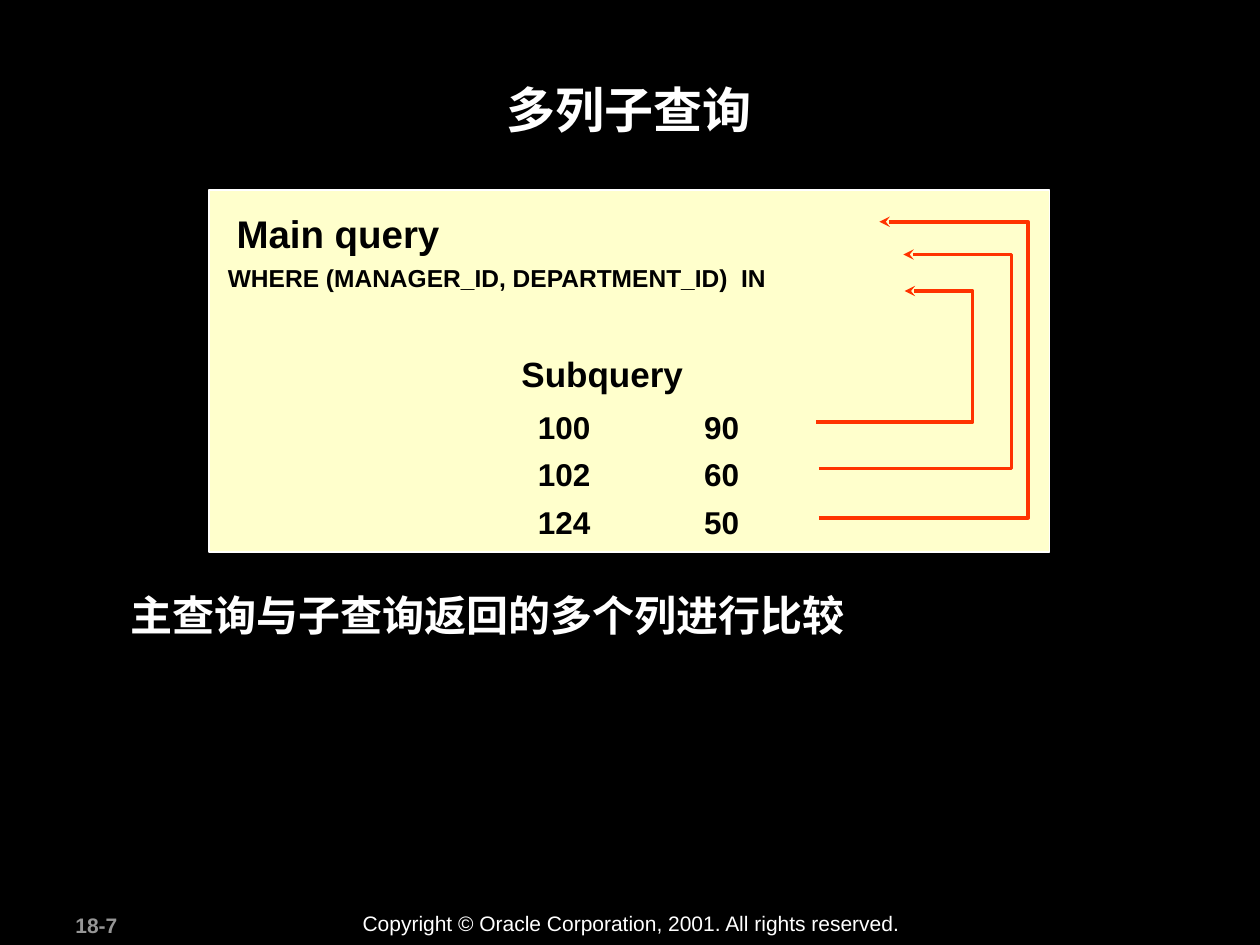
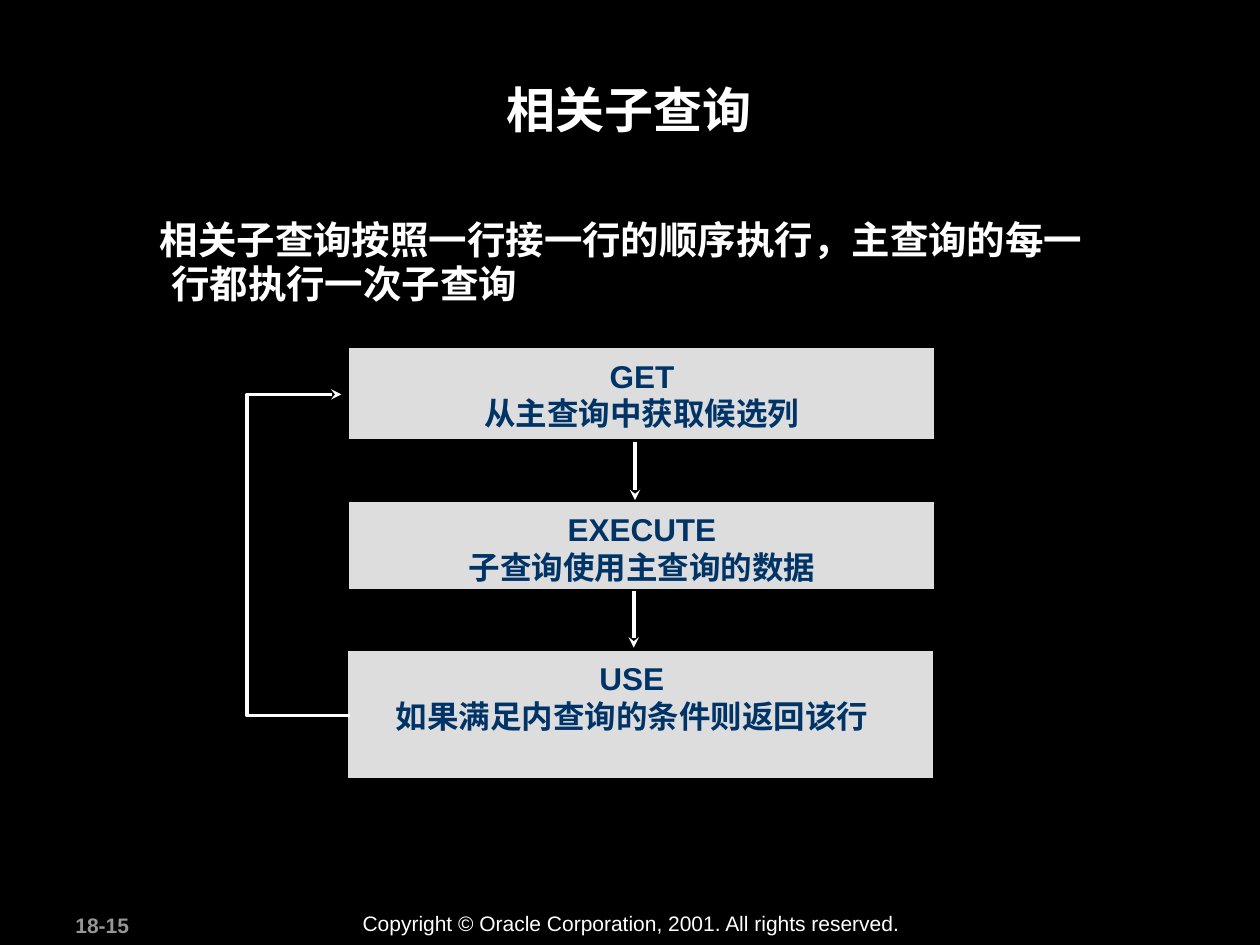
import pptx
import pptx.util
import pptx.dml.color
import pptx.enum.shapes
import pptx.enum.text
import pptx.oxml
import pptx.oxml.ns
from dataclasses import dataclass

Inches = pptx.util.Inches
Pt = pptx.util.Pt
Align = pptx.enum.text.PP_ALIGN
Shape = pptx.enum.shapes.MSO_SHAPE


@dataclass(frozen=True)
class Theme:
    font: str = "Arial"
    # Colours
    black: str = "000000"
    white: str = "FFFFFF"
    cream: str = "FFFFCC"
    gray: str = "DDDDDD"
    dim: str = "969696"
    navy: str = "003366"
    red: str = "FF3300"
    # Type sizes
    title: int = 28
    lead: int = 24
    body: int = 22
    sub: int = 20
    item: int = 18
    code: int = 14
    foot: int = 12
    # Line spacing
    tight: float = 0.95
    loose: float = 1.26


def rgb(code):
    return pptx.dml.color.RGBColor.from_string(code)


def apply(target, values):
    for name, value in values.items():
        setattr(target, name, value)


def add_xml(parent, tag, **attrs):
    node = pptx.oxml.parse_xml(f"<a:{tag} {pptx.oxml.ns.nsdecls('a')}/>")
    for name, value in attrs.items():
        node.set(name, str(value))
    parent.append(node)
    return node


class Deck:
    def __init__(self, theme):
        self.theme = theme
        self.show = pptx.Presentation()
        apply(self.show, {"slide_width": Inches(10), "slide_height": Inches(7.5)})
        fill = self.show.slide_master.background.fill
        fill.solid()
        fill.fore_color.rgb = rgb(theme.black)

    def start(self, title, page):
        """Add a slide with its title and footer."""
        t = self.theme
        self.slide = self.show.slides.add_slide(self.show.slide_layouts[5])
        head = self.slide.shapes.title
        self.place(head, 0.94, 0.58, 8.1, 0.96)
        self.label(head, [title], t.title, align=Align.CENTER)
        self.text(0.5, 7.19, 1.05, 0.3, [page], t.foot, color=t.dim)
        self.text(2.78, 7.18, 4.6, 0.3,
                  ["Copyright © Oracle Corporation, 2001. All rights reserved."],
                  t.foot, bold=False)

    def place(self, shape, *box):
        names = ("left", "top", "width", "height")
        apply(shape, {name: Inches(v) for name, v in zip(names, box)})

    def label(self, shape, lines, size, color=None, bold=True, align=Align.LEFT,
              space=1.0, tab=None, hang=None, top=0.05, right=0.1):
        frame = shape.text_frame
        apply(frame, {
            "word_wrap": True,
            "auto_size": pptx.enum.text.MSO_AUTO_SIZE.NONE,
            "vertical_anchor": pptx.enum.text.MSO_ANCHOR.TOP,
            "margin_left": Inches(0.1), "margin_right": Inches(right),
            "margin_top": Inches(top), "margin_bottom": Inches(0.05)})
        for i, line in enumerate(lines):
            para = frame.add_paragraph() if i else frame.paragraphs[0]
            apply(para, {"alignment": align, "line_spacing": space,
                         "space_before": Pt(0)})
            props = para._p.get_or_add_pPr()
            if tab:
                stops = add_xml(props, "tabLst")
                add_xml(stops, "tab", pos=Inches(tab), algn="l")
            if hang:
                props.set("marL", str(Inches(hang[0])))
                props.set("indent", str(Inches(hang[1])))
            run = para.add_run()
            run.text = line
            apply(run.font, {"name": self.theme.font, "size": Pt(size), "bold": bold})
            run.font.color.rgb = rgb(color or self.theme.white)

    def text(self, x, y, w, h, lines, size, **style):
        box = self.slide.shapes.add_textbox(*map(Inches, (x, y, w, h)))
        self.label(box, lines, size, **style)

    def panel(self, x, y, w, h, fill, line, width):
        box = self.slide.shapes.add_shape(Shape.RECTANGLE, *map(Inches, (x, y, w, h)))
        box.shadow.inherit = False
        box.fill.solid()
        box.fill.fore_color.rgb = rgb(fill)
        self.stroke(box, line, width)
        return box

    def stroke(self, shape, color, width, arrow=False):
        shape.line.color.rgb = rgb(color)
        shape.line.width = Pt(width)
        if arrow:
            line = shape.line._get_or_add_ln()
            add_xml(line, "round")
            add_xml(line, "tailEnd", type="stealth")

    def elbow(self, start, side, end, color):
        """Run out from start to x = side, then back to the arrowhead at end."""
        points = [start, (side, start[1]), (side, end[1]), end]
        first, *rest = [(Inches(x), Inches(y)) for x, y in points]
        route = self.slide.shapes.build_freeform(*first)
        route.add_line_segments(rest, close=False)
        shape = route.convert_to_shape()
        shape.shadow.inherit = False
        shape.fill.background()
        self.stroke(shape, color, 2, arrow=True)

    def arrow(self, x, top, end, color):
        kind = pptx.enum.shapes.MSO_CONNECTOR.STRAIGHT
        line = self.slide.shapes.add_connector(kind, *map(Inches, (x, top, x, end)))
        self.stroke(line, color, 2, arrow=True)
        add_xml(line._element.spPr, "effectLst")


def pairs(deck):
    t = deck.theme
    deck.start("多列子查询", "18-7")

    # Query panel
    deck.panel(1.66, 1.51, 6.67, 2.87, t.cream, t.white, 1)
    labels = [
        (1.78, 1.52, 2.2, 0.54, "Main query", t.body),
        (1.71, 1.98, 4.8, 0.38, "WHERE (MANAGER_ID, DEPARTMENT_ID)  IN", t.code),
        (4.04, 2.66, 1.8, 0.5, "Subquery", t.sub),
    ]
    for x, y, w, h, label, size in labels:
        deck.text(x, y, w, h, [label], size, color=t.black, space=t.loose)
    rows = [(100, 90), (102, 60), (124, 50)]
    deck.text(4.17, 3.11, 2.51, 1.18, [f"{a}\t{b}" for a, b in rows], t.item,
              color=t.black, space=t.loose, tab=1.32)

    # Arrows from each row back to the main query
    links = [
        ((6.48, 3.35), 7.72, (7.18, 2.31)),
        ((6.5, 3.72), 8.03, (7.17, 2.02)),
        ((6.5, 4.11), 8.16, (6.98, 1.76)),
    ]
    for start, side, end in links:
        deck.elbow(start, side, end, t.red)

    deck.text(0.94, 4.66, 8.08, 0.48, ["主查询与子查询返回的多个列进行比较"],
              t.lead, space=t.tight)


def cycle(deck):
    t = deck.theme
    deck.start("相关子查询", "18-15")
    deck.text(0.82, 1.69, 8.08, 0.8,
              ["相关子查询按照一行接一行的顺序执行，主查询的每一行都执行一次子查询"],
              t.body, space=t.tight, hang=(0.44, -0.09))

    # Steps
    steps = [
        (2.76, 2.75, 0.75, 0.1, "GET", "从主查询中获取候选列"),
        (2.76, 3.97, 0.72, 0.1, "EXECUTE", "子查询使用主查询的数据"),
        (2.75, 5.15, 1.04, 0.24, "USE", "如果满足内查询的条件则返回该行"),
    ]
    for x, y, h, right, verb, note in steps:
        box = deck.panel(x, y, 4.67, h, t.gray, t.black, 2)
        deck.label(box, [verb, note], t.item, color=t.navy, align=Align.CENTER,
                   top=0.08, right=right)

    # Flow down and loop back
    deck.arrow(5.04, 3.51, 3.97, t.white)
    deck.arrow(5.03, 4.69, 5.14, t.white)
    deck.elbow((2.78, 5.68), 1.96, (2.71, 3.13), t.white)


def main():
    deck = Deck(Theme())
    pairs(deck)
    cycle(deck)
    deck.show.save("out.pptx")


if __name__ == "__main__":
    main()
